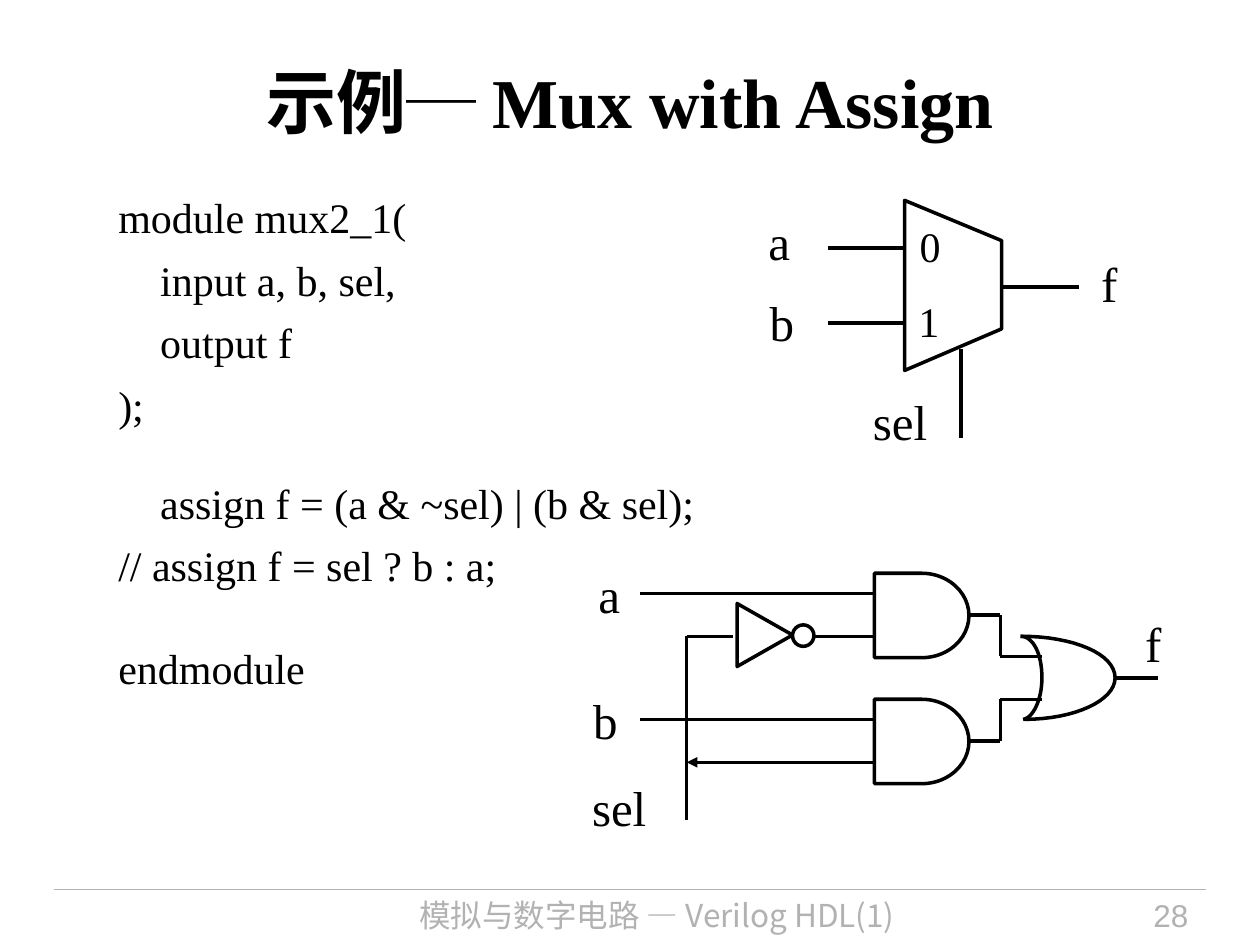
import pptx
import pptx.util
import pptx.dml.color
from pptx.enum.shapes import MSO_CONNECTOR, MSO_SHAPE
from pptx.enum.text import MSO_ANCHOR, PP_ALIGN
from pptx.oxml.ns import qn
from lxml import etree

Inches, Pt = pptx.util.Inches, pptx.util.Pt
BLACK = pptx.dml.color.RGBColor(0, 0, 0)
GREY = pptx.dml.color.RGBColor(0xB2, 0xB2, 0xB2)
WHITE = pptx.dml.color.RGBColor(255, 255, 255)
SERIF, SANS, CJK = "Times New Roman", "Arial", "Noto Sans CJK SC"

TITLE = [("示例", SERIF), ("─ ", CJK), ("Mux with Assign", SERIF)]
FOOTER = "模拟与数字电路 — Verilog HDL(1)"
PAGE = "28"
# (code line, space before in points)
CODE = [
    ("module mux2_1(", 0),
    ("    input a, b, sel,", 0),
    ("    output f", 0),
    (");", 0),
    ("    assign f = (a & ~sel) | (b & sel);", 20),
    ("// assign f = sel ? b : a;", 0),
    ("endmodule", 23),
]

# Labels: text, left, top, width, height
GATE_LABELS = [
    ("a", 4.53, 4.5, 0.49, 0.5, PP_ALIGN.RIGHT),
    ("b", 4.49, 5.5, 0.51, 0.5, PP_ALIGN.RIGHT),
    ("sel", 4.6, 6.19, 0.75, 0.5, PP_ALIGN.LEFT),
    ("f", 8.99, 4.89, 0.5, 0.5, PP_ALIGN.LEFT),
]
MUX_LABELS = [
    ("a", 6.0, 1.63, 0.37, 0.57, 28),
    ("b", 6.01, 2.27, 0.39, 0.57, 28),
    ("sel", 6.83, 3.06, 0.63, 0.57, 28),
    ("f", 8.64, 1.96, 0.33, 0.57, 28),
    ("0", 7.2, 1.7, 0.37, 0.5, 24),
    ("1", 7.19, 2.3, 0.37, 0.5, 24),
]

# Wires: x1, y1, x2, y2
MUX_WIRES = [
    (6.57, 1.97, 7.17, 1.97),
    (6.57, 2.56, 7.17, 2.56),
    (7.95, 2.28, 8.56, 2.28),
    (7.63, 3.48, 7.63, 2.77),
]
MUX_BODY = [(7.18, 1.59), (7.95, 1.91), (7.95, 2.61), (7.18, 2.94)]

AND_X, AND_W, AND_H = 6.94, 0.75, 0.67
AND_TOPS = (4.55, 5.55)
INPUT_X, SEL_X, JOG_X, OR_X = 5.08, 5.45, 7.94, 8.27
GATE_WIRES = [
    (SEL_X, 5.05, 5.82, 5.05),
    (6.45, 5.05, AND_X, 5.05),
    (SEL_X, 5.05, SEL_X, 6.51),
    (8.85, 5.38, 9.19, 5.38),
]
for and_y, or_y in ((4.88, 5.21), (5.88, 5.55)):
    GATE_WIRES += [
        (INPUT_X, and_y - 0.17, AND_X, and_y - 0.17),
        (AND_X + AND_W, and_y, JOG_X, and_y),
        (JOG_X, and_y, JOG_X, or_y),
        (JOG_X, or_y, OR_X, or_y),
    ]
# Each edge of the OR gate is two Bezier segments that share an end point
OR_EDGES = [
    [(8.1, 5.05), (8.2, 5.05), (8.27, 5.19), (8.27, 5.38),
     (8.27, 5.55), (8.2, 5.7), (8.12, 5.71)],
    [(8.1, 5.05), (8.52, 5.05), (8.85, 5.19), (8.85, 5.38),
     (8.85, 5.56), (8.53, 5.71), (8.13, 5.71)],
]

prs = pptx.Presentation()
prs.slide_width, prs.slide_height = Inches(10), Inches(7.5)
s = prs.slides.add_slide(prs.slide_layouts[6])


def add_text(text, x, y, w, h, font=SERIF, size=28, color=BLACK, bold=False,
             align=PP_ALIGN.LEFT, anchor=MSO_ANCHOR.TOP, wrap=True,
             line_spacing=None, after=0, hanging=0):
    """text is a string, or a list of paragraphs (runs, space before);
    runs is a list of (text, font)."""
    paragraphs = [([(text, font)], 0)] if isinstance(text, str) else text
    tf = s.shapes.add_textbox(Inches(x), Inches(y), Inches(w), Inches(h)).text_frame
    tf.word_wrap, tf.vertical_anchor = wrap, anchor
    for i, (runs, before) in enumerate(paragraphs):
        p = tf.paragraphs[0] if i == 0 else tf.add_paragraph()
        p.alignment = align
        if line_spacing:
            p.line_spacing = line_spacing
        if before:
            p.space_before = Pt(before)
        if after:
            p.space_after = Pt(after)
        if hanging:
            pPr = p._p.get_or_add_pPr()
            pPr.set("marL", str(Inches(hanging)))
            pPr.set("indent", str(-Inches(hanging)))
        for run_text, run_font in runs:
            r = p.add_run()
            r.text = run_text
            r.font.name, r.font.size, r.font.bold = run_font, Pt(size), bold
            r.font.color.rgb = color
            ea = etree.SubElement(r._r.get_or_add_rPr(), qn("a:ea"))
            ea.set("typeface", CJK)


def add_line(x1, y1, x2, y2, color=BLACK, width=2, arrow_at_start=False):
    c = s.shapes.add_connector(MSO_CONNECTOR.STRAIGHT, Inches(x1), Inches(y1),
                               Inches(x2), Inches(y2))
    c.line.color.rgb, c.line.width = color, Pt(width)
    if arrow_at_start:
        etree.SubElement(c.line._get_or_add_ln(), qn("a:headEnd")).set("type", "triangle")
    etree.SubElement(c._element.spPr, qn("a:effectLst"))


def outline(sp, fill=None):
    sp.shadow.inherit = False
    if fill is None:
        sp.fill.background()
    else:
        sp.fill.solid()
        sp.fill.fore_color.rgb = fill
    sp.line.color.rgb, sp.line.width = BLACK, Pt(2)


def add_shape(kind, x, y, w, h, fill=None, rotation=0):
    sp = s.shapes.add_shape(kind, Inches(x), Inches(y), Inches(w), Inches(h))
    sp.rotation = rotation
    outline(sp, fill)


def add_path(points, close):
    points = [(Inches(x), Inches(y)) for x, y in points]
    builder = s.shapes.build_freeform(*points[0])
    builder.add_line_segments(points[1:], close=close)
    outline(builder.convert_to_shape())


def bezier_points(controls, steps=16):
    """Sample a chain of cubic Bezier segments."""
    points = [controls[0]]
    for start in range(0, len(controls) - 1, 3):
        segment = controls[start:start + 4]
        for i in range(1, steps + 1):
            t = i / steps
            weights = ((1 - t) ** 3, 3 * t * (1 - t) ** 2, 3 * t * t * (1 - t), t ** 3)
            points.append(tuple(sum(k * c[axis] for k, c in zip(weights, segment))
                                for axis in (0, 1)))
    return points


# Page frame and text
add_line(0.43, 7.06, 9.57, 7.06, color=GREY, width=0.75)
add_text([([(line, SERIF)], before) for line, before in CODE],
         0.84, 1.47, 7.19, 5.51, size=24, after=7, hanging=0.38)
add_text(FOOTER, 2.4, 7.06, 5.63, 0.44, font=CJK, size=18, color=GREY,
         align=PP_ALIGN.CENTER)
add_text(PAGE, 8.2, 7.06, 1.33, 0.44, font=SANS, size=18, color=GREY,
         align=PP_ALIGN.RIGHT)
add_text([(TITLE, 0)], 0.5, 0.17, 9, 1.25, size=40, bold=True,
         align=PP_ALIGN.CENTER, anchor=MSO_ANCHOR.MIDDLE)

# Gate-level circuit
for top in AND_TOPS:
    add_shape(MSO_SHAPE.FLOWCHART_DELAY, AND_X, top, AND_W, AND_H)
for edge in OR_EDGES:
    add_path(bezier_points(edge), close=False)
for wire in GATE_WIRES:
    add_line(*wire)
add_line(SEL_X, 6.05, AND_X, 6.05, arrow_at_start=True)
add_shape(MSO_SHAPE.ISOSCELES_TRIANGLE, 5.82, 4.82, 0.5, 0.44, rotation=90)
add_shape(MSO_SHAPE.OVAL, 6.29, 4.96, 0.17, 0.17, fill=WHITE)
for text, x, y, w, h, align in GATE_LABELS:
    add_text(text, x, y, w, h, align=align, line_spacing=0.85)

# Multiplexer symbol
for wire in MUX_WIRES:
    add_line(*wire, width=2.25)
for text, x, y, w, h, size in MUX_LABELS:
    add_text(text, x, y, w, h, size=size, wrap=False)
add_path(MUX_BODY, close=True)

prs.save("out.pptx")
